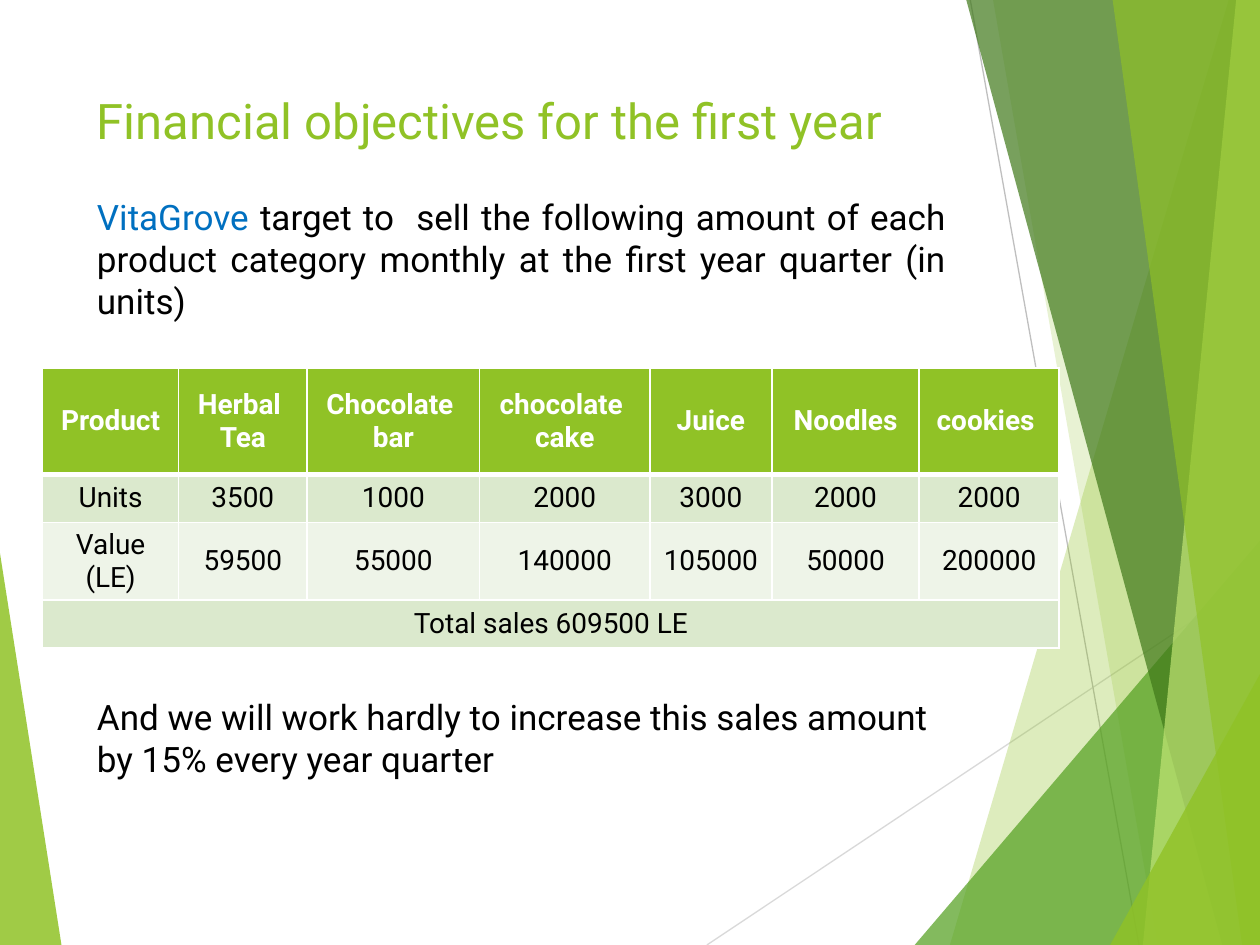
from dataclasses import dataclass

from lxml import etree
from pptx import Presentation
from pptx.dml.color import RGBColor
from pptx.enum.shapes import MSO_CONNECTOR
from pptx.enum.text import MSO_ANCHOR, MSO_AUTO_SIZE, PP_ALIGN
from pptx.oxml.ns import qn
from pptx.util import Cm, Pt

STRAIGHT = MSO_CONNECTOR.STRAIGHT
TOP, MIDDLE = MSO_ANCHOR.TOP, MSO_ANCHOR.MIDDLE
NO_FIT = MSO_AUTO_SIZE.NONE
LEFT, CENTER, JUSTIFY = PP_ALIGN.LEFT, PP_ALIGN.CENTER, PP_ALIGN.JUSTIFY

WIDTH, HEIGHT = 25.4, 19.05


@dataclass(frozen=True)
class Theme:
    font: str = "Roboto"
    green: str = "90C226"
    leaf: str = "54A021"
    dark: str = "3F7819"
    lime: str = "C0E474"
    blue: str = "0070C0"
    black: str = "000000"
    white: str = "FFFFFF"
    band: str = "DBE9CD"
    pale: str = "EEF4E8"
    silver: str = "D9D9D9"
    gray: str = "BFBFBF"
    title: int = 28
    body: int = 20
    cell: int = 16


THEME = Theme()

# Table content
COLS = [2.74, 2.59, 3.48, 3.43, 2.46, 2.97, 2.82]
ROWS = [2.14, 0.97, 0.97, 0.97]
DATA = [
    ["Product", "Herbal \nTea", "Chocolate \nbar", "chocolate \ncake",
     "Juice", "Noodles", "cookies "],
    ["Units", 3500, 1000, 2000, 3000, 2000, 2000],
    ["Value (LE)", 59500, 55000, 140000, 105000, 50000, 200000],
    ["Total sales 609500 LE"],
]


def apply(item, **values):
    for name, value in values.items():
        setattr(item, name, value)


def style(font, size, color, bold=False):
    apply(font, name=THEME.font, size=Pt(size), bold=bold)
    font.color.rgb = RGBColor.from_string(color)


def place(shape, left, top, width, height):
    apply(shape, left=Cm(left), top=Cm(top), width=Cm(width), height=Cm(height))


# Background shapes
def band(top, foot):
    """Outline from a slanted left edge to the right side of the slide."""
    return [(top, 0), (foot, HEIGHT), (WIDTH, HEIGHT), (WIDTH, 0)]


def corner(foot, rise):
    """Triangle in the lower right corner."""
    return [(foot, HEIGHT), (WIDTH, rise), (WIDTH, HEIGHT)]


def add_facet(slide, points, color, alpha):
    first, *rest = [(Cm(x), Cm(y)) for x, y in points]
    pen = slide.shapes.build_freeform(*first)
    pen.add_line_segments(rest)
    shape = pen.convert_to_shape()
    shape.shadow.inherit = False
    shape.line.fill.background()
    shape.fill.solid()
    shape.fill.fore_color.rgb = RGBColor.from_string(color)
    tint = shape._element.spPr.find(".//" + qn("a:srgbClr"))
    etree.SubElement(tint, qn("a:alpha"), val=str(alpha * 1000))


def add_line(slide, start, end, color):
    ends = [Cm(value) for value in (*start, *end)]
    line = slide.shapes.add_connector(STRAIGHT, *ends)
    line.line.width = Pt(0.75)
    line.line.color.rgb = RGBColor.from_string(color)
    etree.SubElement(line._element.spPr, qn("a:effectLst"))


def add_decor(slide):
    add_facet(slide, [(0, 11.15), (1.24, HEIGHT), (0, HEIGHT)], THEME.green, 85)
    add_line(slide, (14.25, HEIGHT), (WIDTH, 11.61), THEME.silver)
    add_line(slide, (19.56, 0), (22.96, HEIGHT), THEME.gray)
    facets = [
        (band(24.77, 19.15), THEME.green, 30),
        (band(20.02, 23.34), THEME.green, 20),
        (corner(18.44, 10.9), THEME.leaf, 72),
        (band(19.48, 24.64), THEME.dark, 70),
        (band(24.92, 23.04), THEME.lime, 70),
        (band(22.43, 25.04), THEME.green, 65),
        (corner(22.38, 13.59), THEME.green, 80),
    ]
    for facet in facets:
        add_facet(slide, *facet)


# Title and body text
def write(para, runs, size, **values):
    props = para._p.get_or_add_pPr()
    apply(para, **values)
    props.set("marL", "0")
    props.set("indent", "0")
    etree.SubElement(props, qn("a:buNone"))
    for text, color in runs:
        run = para.add_run()
        run.text = text
        style(run.font, size, color)


def fill_title(shape):
    place(shape, 1.7, 1.7, 17.63, 1.9)
    frame = shape.text_frame
    apply(frame, word_wrap=True, auto_size=NO_FIT, vertical_anchor=TOP)
    write(frame.paragraphs[0],
          [("Financial objectives for the first year", THEME.green)],
          THEME.title, alignment=LEFT)


def fill_body(shape):
    place(shape, 1.7, 3.81, 17.63, 12.27)
    frame = shape.text_frame
    apply(frame, word_wrap=True, auto_size=NO_FIT, vertical_anchor=TOP)
    write(frame.paragraphs[0],
          [("VitaGrove ", THEME.blue),
           ("target to  sell the following amount of each product category "
            "monthly at the first year quarter (in units)", THEME.black)],
          THEME.body, alignment=JUSTIFY, space_before=Pt(10))
    # The space before leaves room for the table
    write(frame.add_paragraph(),
          [("And we will work hardly to increase this sales amount by 15% "
            "every year quarter", THEME.black)],
          THEME.body, alignment=LEFT, space_before=Pt(214))


# Sales table
def add_edges(cell, foot):
    props = cell._tc.get_or_add_tcPr()
    for side, width in {"L": 1, "R": 1, "T": 1, "B": foot}.items():
        edge = etree.SubElement(props, qn("a:ln" + side), w=str(Pt(width)))
        paint = etree.SubElement(edge, qn("a:solidFill"))
        etree.SubElement(paint, qn("a:srgbClr"), val=THEME.white)


def fill_cell(cell, text, fill, color, head):
    add_edges(cell, 3 if head else 1)
    cell.fill.solid()
    cell.fill.fore_color.rgb = RGBColor.from_string(fill)
    cell.vertical_anchor = MIDDLE
    cell.text = str(text)
    for para in cell.text_frame.paragraphs:
        para.alignment = CENTER
        style(para.font, THEME.cell, color, head)
        for run in para.runs:
            style(run.font, THEME.cell, color, head)


def add_sales(slide):
    frame = slide.shapes.add_table(len(ROWS), len(COLS), Cm(0.86), Cm(7.42),
                                   Cm(sum(COLS)), Cm(sum(ROWS)))
    table = frame.table
    for col, width in zip(table.columns, COLS):
        col.width = Cm(width)
    for row, height in zip(table.rows, ROWS):
        row.height = Cm(height)
    last = len(ROWS) - 1
    table.cell(last, 0).merge(table.cell(last, len(COLS) - 1))
    fills = [THEME.green, THEME.band, THEME.pale, THEME.band]
    for r, (texts, fill) in enumerate(zip(DATA, fills)):
        head = r == 0
        color = THEME.white if head else THEME.black
        for c, text in enumerate(texts):
            fill_cell(table.cell(r, c), text, fill, color, head)


def main():
    deck = Presentation()
    apply(deck, slide_width=Cm(WIDTH), slide_height=Cm(HEIGHT))
    slide = deck.slides.add_slide(deck.slide_layouts[1])
    title, body = slide.shapes.title, slide.placeholders[1]
    add_decor(slide)
    # Bring the text in front of the background
    for shape in (title, body):
        slide.shapes._spTree.append(shape._element)
    fill_title(title)
    fill_body(body)
    add_sales(slide)
    deck.save("out.pptx")


if __name__ == "__main__":
    main()
